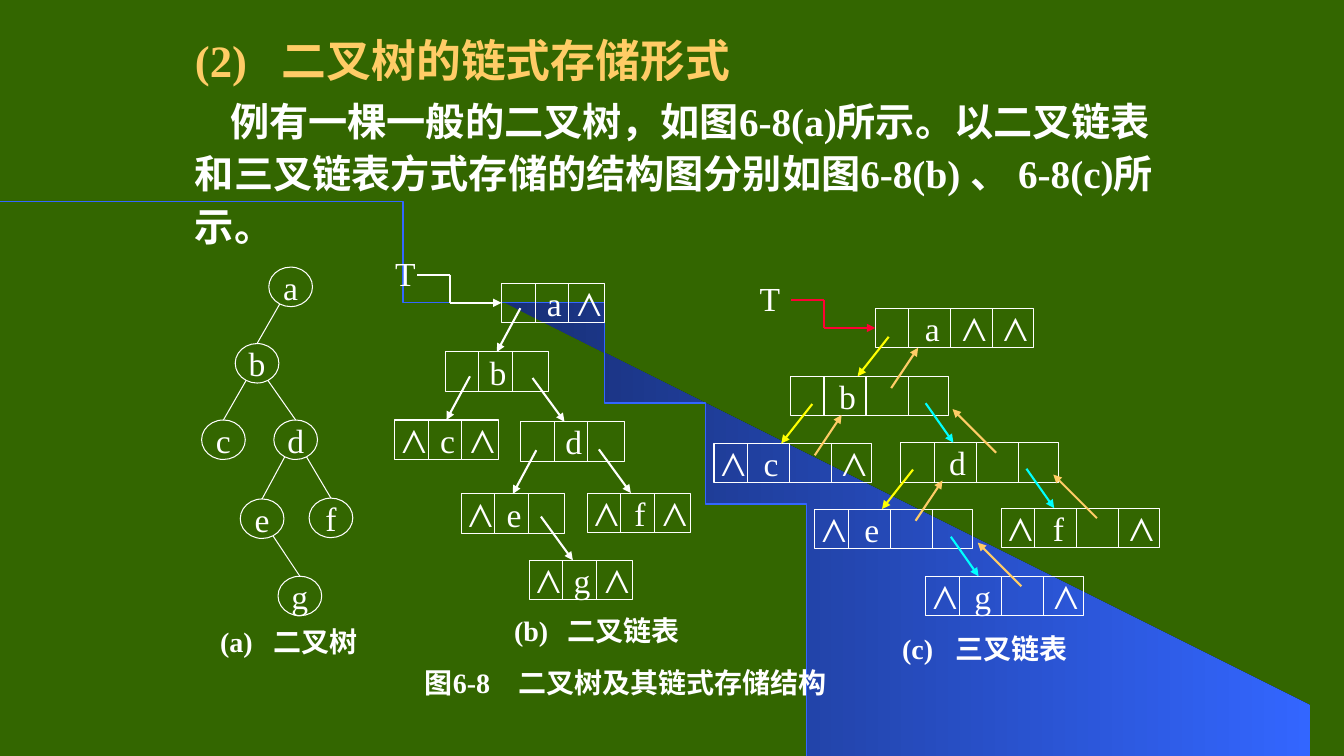
from lxml import etree
from pptx import Presentation
from pptx import util as u
from pptx.dml.color import RGBColor
from pptx.enum import shapes, text
from pptx.oxml import ns

UNIT = u.Inches(1) / 12
COLS, ROWS = 160, 90
LATIN, CJK = "Times New Roman", "Noto Sans CJK SC"
WHITE, GOLD, BLUE, YELLOW, CYAN, RED = (
    "FFFFFF", "FFCC66", "3366FF", "FFFF00", "00FFFF", "FF0033")
NODE_W, NODE_H = 5.2, 4.7
EDGES = [("a", "b", -1), ("b", "c", -1), ("b", "d", 1),
         ("d", "e", -1), ("d", "f", 1), ("e", "g", 1)]


def g(n):
    """Turn a grid count into a length."""
    return u.Emu(round(n * UNIT))


def color(hexa):
    """Turn a hex string into a colour."""
    return RGBColor.from_string(hexa)


def add_xml(parent, tag, **attrs):
    """Append a drawing element and return it."""
    return etree.SubElement(parent, ns.qn(tag), attrs)


def add_tabs(p, stops, algn):
    """Give a paragraph tab stops at grid counts."""
    tabs = add_xml(p._p.get_or_add_pPr(), "a:tabLst")
    for stop in stops:
        add_xml(tabs, "a:tab", pos=str(g(stop)), algn=algn)


def add_run(p, words, size, name=LATIN, hexa=WHITE, bold=False):
    """Add one formatted run."""
    r = p.add_run()
    r.text = words
    r.font.size, r.font.bold, r.font.name = u.Pt(size), bold, name
    r.font.color.rgb = color(hexa)
    if any("\u3000" <= ch <= "\uffef" for ch in words):
        add_xml(r._r.get_or_add_rPr(), "a:ea", typeface=CJK)


def frame(sp, anchor=text.MSO_ANCHOR.MIDDLE, inset=0.0, align=text.PP_ALIGN.LEFT):
    """Set up a text frame and return its first paragraph."""
    tf = sp.text_frame
    tf.word_wrap, tf.auto_size = True, text.MSO_AUTO_SIZE.NONE
    tf.vertical_anchor = anchor
    tf.margin_left = tf.margin_right = g(inset)
    tf.margin_top = tf.margin_bottom = 0
    p = tf.paragraphs[0]
    p.alignment = align
    return p


def add_text(s, x, y, w, h, **setup):
    """Add a text box and return its first paragraph."""
    return frame(s.shapes.add_textbox(g(x), g(y), g(w), g(h)), **setup)


def add_outline(s, kind, x, y, w, h):
    """Add an unfilled shape with a thin white line."""
    sp = s.shapes.add_shape(kind, g(x), g(y), g(w), g(h))
    sp.shadow.inherit = False
    sp.fill.background()
    sp.line.color.rgb, sp.line.width = color(WHITE), u.Pt(0.75)
    return sp


def add_line(s, x1, y1, x2, y2, hexa=WHITE, width=0.75, arrow=False):
    """Add a straight line, with an arrowhead at its end if asked."""
    c = s.shapes.add_connector(shapes.MSO_CONNECTOR.STRAIGHT, g(x1), g(y1), g(x2), g(y2))
    c.line.color.rgb, c.line.width = color(hexa), u.Pt(width)
    if arrow:
        add_xml(c.line._get_or_add_ln(), "a:tailEnd", type="triangle")
    add_xml(c._element.spPr, "a:effectLst")
    return c


def add_caption(s, x, y, mark, words):
    """Add the caption below one diagram."""
    p = add_text(s, x, y, 24, NODE_H)
    add_tabs(p, [6.4], "l")
    add_run(p, mark + "\t", 20, bold=True)
    add_run(p, words, 20, CJK, bold=True)


def add_swoosh(s):
    """Draw the blue sweep and its arc behind the text."""
    p0, p1, p2, p3 = (0.3, 1.7), (4.85, 2.21), (8.3, 4.61), (8.3, 7.5)
    n = 60
    arc = []
    for i in range(n + 1):
        t = i / n
        arc.append(tuple((1 - t) ** 3 * a + 3 * t * (1 - t) ** 2 * b
                         + 3 * t * t * (1 - t) * c + t ** 3 * d
                         for a, b, c, d in zip(p0, p1, p2, p3)))
    wedge = [(13.33, 7.5), (13.33, 6.83), (4.77, 2.96)] + [q for q in arc if q[0] > 4.95]
    for points, closed in ((wedge, True), (arc, False)):
        fb = s.shapes.build_freeform(*points[0], scale=u.Inches(1))
        fb.add_line_segments(points[1:], close=closed)
        sp = fb.convert_to_shape()
        sp.shadow.inherit = False
        if closed:
            sp.fill.gradient()
            sp.fill.gradient_angle = 0
            for stop, hexa in zip(sp.fill.gradient_stops, ("182F76", BLUE)):
                stop.color.rgb = color(hexa)
            sp.line.fill.background()
        else:
            sp.fill.background()
            sp.line.color.rgb, sp.line.width = color(BLUE), u.Pt(1)
        s.shapes.title.element.addprevious(sp.element)


def add_intro(s, x, y, w):
    """Fill the title and body placeholders."""
    title, body = s.shapes.title, s.placeholders[1]
    title.left, title.top, title.width, title.height = g(x), g(y), g(w), g(7)
    body.left, body.top, body.width, body.height = g(x), g(y + 7.8), g(w), g(20)
    p = frame(title, text.MSO_ANCHOR.TOP, 1.2)
    add_tabs(p, [10.35], "l")
    p.line_spacing = u.Pt(43)
    add_run(p, "(2)\t", 32, hexa=GOLD, bold=True)
    add_run(p, "二叉树的链式存储形式", 32, hexa=GOLD, bold=True)
    p = frame(body, text.MSO_ANCHOR.TOP, 1.2)
    pPr = p._p.get_or_add_pPr()
    pPr.set("marL", "0")
    pPr.set("indent", str(g(4.2)))
    add_xml(pPr, "a:buNone")
    p.line_spacing, p.space_before = u.Pt(37.5), u.Pt(0)
    for words, name in (("例有一棵一般的二叉树，如图", CJK), ("6-8(a)", LATIN),
                        ("所示。以二叉链表和三叉链表方式存储的结构图分别如图", CJK),
                        ("6-8(b) 、 6-8(c)", LATIN), ("所示。", CJK)):
        add_run(p, words, 28, name, bold=True)


def add_tree(s, x, y, nodes):
    """Draw the binary tree of circles."""
    circles = {}
    for key, (dx, dy) in nodes.items():
        circles[key] = add_outline(s, shapes.MSO_SHAPE.OVAL, x + dx, y + dy, NODE_W, NODE_H)
        add_run(frame(circles[key], align=text.PP_ALIGN.CENTER), key, 24)
    for parent, child, side in EDGES:
        px, py = nodes[parent]
        cx, cy = nodes[child]
        c = add_line(s, x + px + NODE_W / 2 + side * 1.3, y + py + 4.4,
                     x + cx + NODE_W / 2, y + cy)
        c.end_connect(circles[child], 0)


def add_linked_list(s, x, y, nodes, cells, links, pointer, label_dx):
    """Draw records split into cells, their links and the T pointer."""
    ends = [sum(cells[:i + 1]) for i in range(len(cells))]
    mids = [end - w / 2 + 0.3 for end, w in zip(ends, cells)]
    records = {}
    for key, (dx, dy, marks) in nodes.items():
        left, top = x + dx, y + dy
        records[key] = add_outline(s, shapes.MSO_SHAPE.RECTANGLE, left, top, ends[-1], NODE_H)
        p = frame(records[key])
        add_tabs(p, mids, "ctr")
        add_run(p, "".join("\t" + mark for mark in marks).rstrip("\t"), 24)
        for end in ends[:-1]:
            add_line(s, left + end, top, left + end, top + NODE_H)
    for parent, child, side in EDGES:
        cx, cy, _ = nodes[child]
        for hexa, tail_x, tail_y, tip_x, tip_y in links[side]:
            c = add_line(s, x + cx + tail_x, y + cy + tail_y,
                         x + cx + tip_x, y + cy + tip_y, hexa, 1.5, True)
            if tip_x == ends[-1] / 2:
                c.end_connect(records[child], 0)
    rx, ry = x + nodes["a"][0], y + nodes["a"][1]
    add_run(add_text(s, rx + label_dx, ry - 3.3, NODE_H, 4.2, align=text.PP_ALIGN.CENTER), "T", 24)
    high, low = ry - 1, ry + NODE_H / 2
    add_line(s, rx - 10, high, rx - 6.1, high, pointer, 1.5)
    add_line(s, rx - 6.1, high, rx - 6.1, low, pointer, 1.5)
    add_line(s, rx - 6.1, low, rx, low, pointer, 1.5, True).end_connect(records["a"], 1)


def main():
    """Build and save the slide."""
    prs = Presentation()
    prs.slide_width, prs.slide_height = g(COLS), g(ROWS)
    s = prs.slides.add_slide(prs.slide_layouts[1])
    s.background.fill.solid()
    s.background.fill.fore_color.rgb = color("336600")
    add_swoosh(s)
    add_intro(s, 22, 3.1, 117)

    add_tree(s, 24, 31.8, {
        "a": (8, 0), "b": (4, 9.1), "c": (0, 18.2), "d": (8.6, 18.2),
        "e": (4.6, 27.6), "f": (12.8, 27.5), "g": (9.1, 36.8)})
    add_caption(s, 26.2, 74, "(a)", "二叉树")

    pair = [4, 4, 4.3]
    add_linked_list(s, 47, 33.7, {
        "a": (12.7, 0, " a⋀".replace(" ", "\t").split("\t") and ["", "a", "⋀"]),
        "b": (6, 8.2, ["", "b", ""]), "c": (0, 16.3, ["⋀", "c", "⋀"]),
        "d": (15, 16.5, ["", "d", ""]), "e": (7.9, 25.1, ["⋀", "e", ""]),
        "f": (22.9, 25, ["⋀", "f", "⋀"]), "g": (16, 33, ["⋀", "g", "⋀"])},
        pair, {-1: [(WHITE, 8.95, -5.2, sum(pair) / 2, 0)], 1: [(WHITE, 1.4, -5.2, 5.2, 0)]},
        WHITE, -13.8)
    add_caption(s, 61.2, 72.7, "(b)", "二叉链表")

    add_linked_list(s, 85, 36.7, {
        "a": (19.2, 0, ["", "a", "⋀", "⋀"]), "b": (9.1, 8.1, ["", "b", "", ""]),
        "c": (0, 16.1, ["⋀", "c", "", "⋀"]), "d": (22.2, 16, ["", "d", "", ""]),
        "e": (12, 23.9, ["⋀", "e", "", ""]), "f": (34.2, 23.8, ["⋀", "f", "", "⋀"]),
        "g": (25.2, 31.9, ["⋀", "g", "", "⋀"])},
        [4, 5, 5, 4.8],
        {-1: [(YELLOW, 11.7, -4.7, 8, 0), (GOLD, 12, 1.4, 15.2, -3.4)],
         1: [(CYAN, 3, -4.7, 6.3, 0), (GOLD, 11.4, 1.2, 6.2, -4)]},
        RED, -14.9)
    add_caption(s, 107.4, 74.8, "(c)", "三叉链表")

    p = add_text(s, 49, 78.7, 51, 5, inset=1.2, align=text.PP_ALIGN.CENTER)
    p.line_spacing = u.Pt(24.3)
    for words, name in (("图", "Arial"), ("6-8　二叉树及其", LATIN), ("链式存储结构", CJK)):
        add_run(p, words, 20, name, bold=True)
    prs.save("out.pptx")


if __name__ == "__main__":
    main()
